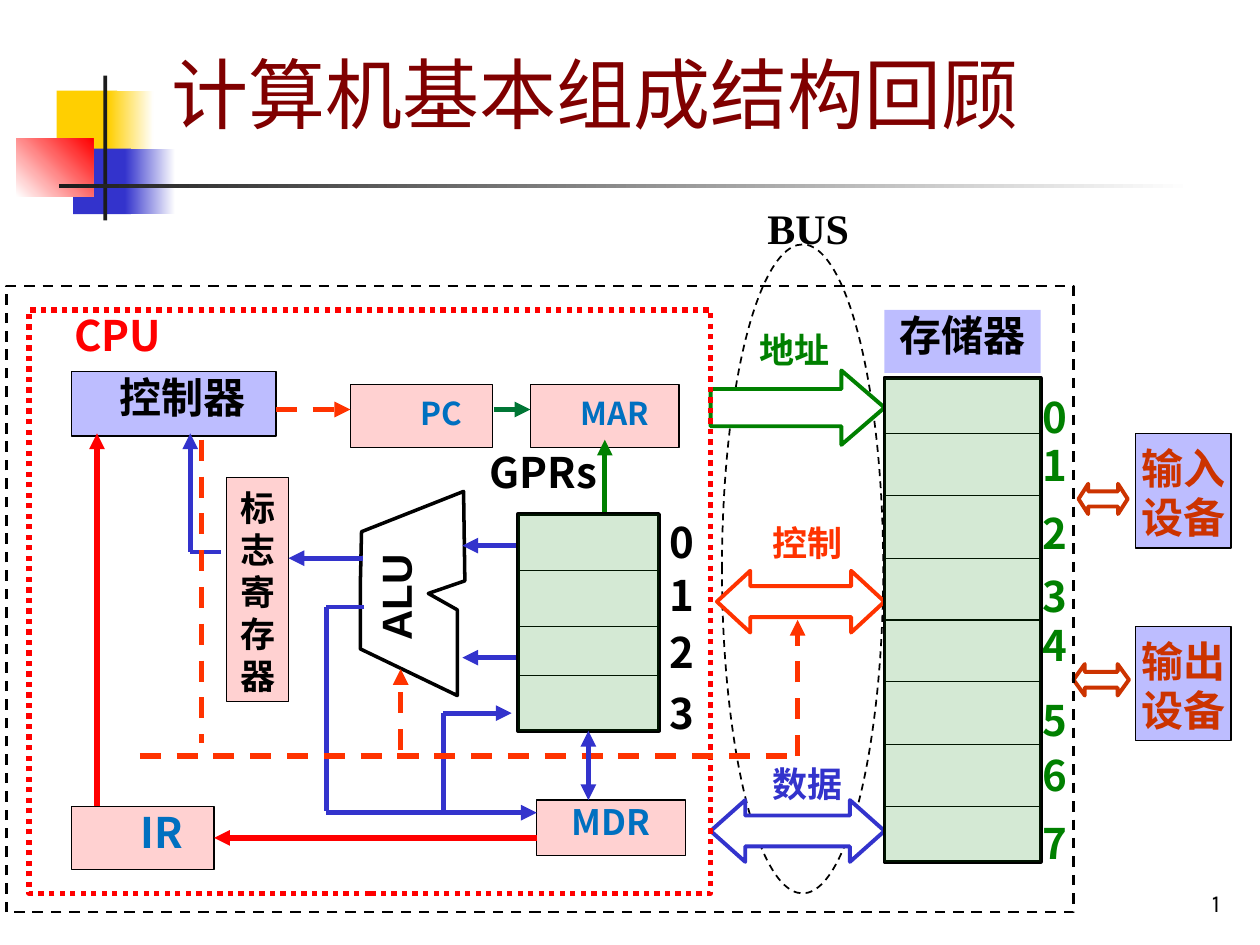
from dataclasses import dataclass
from lxml.etree import SubElement as Sub
from pptx import Presentation
from pptx.dml.color import RGBColor as RGB
from pptx.enum.dml import MSO_LINE as Dash
from pptx.enum.shapes import MSO_CONNECTOR as Link, MSO_SHAPE as Kind
from pptx.enum.text import MSO_ANCHOR as Anchor, PP_ALIGN as Align
from pptx.oxml.ns import qn
from pptx.util import Inches, Pt

COLS, ROWS = 1000, 750
CELL = Inches(10) // COLS
SANS = "Noto Sans CJK SC"

BLACK, WHITE = RGB(0, 0, 0), RGB(255, 255, 255)
RED, GREEN, BLUE = RGB(255, 0, 0), RGB(0, 128, 0), RGB(0, 0, 255)
NAVY, FLAME, RUST = RGB(0x33, 0x33, 0xCC), RGB(0xFF, 0x33, 0), RGB(0xCC, 0x33, 0)
AZURE, PINE = RGB(0, 0x70, 0xC0), RGB(0, 0x76, 0x35)
GOLD, INK, WINE = RGB(0xFF, 0xCF, 0x01), RGB(0x1C, 0x1C, 0x1C), RGB(0x80, 0, 0)


@dataclass
class Area:
    shapes: object
    x: int
    y: int
    w: int
    h: int

    def zone(self, x, y, w, h):
        return Area(self.shapes, self.x + x, self.y + y, w, h)

    def place(self, x, y):
        return (self.x + x) * CELL, (self.y + y) * CELL


def paint(line, color, width, dash=None):
    line.color.rgb = color
    line.width = Pt(width)
    if dash:
        line.dash_style = dash


def block(area, box, fill=None, line=None, kind=Kind.RECTANGLE, alpha=None):
    x, y, w, h = box
    shape = area.shapes.add_shape(kind, *area.place(x, y), w * CELL, h * CELL)
    shape.shadow.inherit = False
    if fill is None:
        shape.fill.background()
    else:
        shape.fill.solid()
        shape.fill.fore_color.rgb = fill
    if alpha:
        tone = shape._element.spPr.find(qn("a:solidFill"))[0]
        Sub(tone, qn("a:alpha"), val=str(alpha * 1000))
    if line:
        paint(shape.line, *line)
    else:
        shape.line.fill.background()
    return shape


def fade(area, box, start, end, angle=0):
    shape = block(area, box)
    shape.fill.gradient()
    shape.fill.gradient_angle = angle
    for stop, color in zip(shape.fill.gradient_stops, (start, end)):
        stop.color.rgb = color


def write(shape, text, size, color, font=SANS, bold=True, align=Align.CENTER,
          anchor=Anchor.TOP, pad=(0, 0, 0, 0), lead=None):
    frame = shape.text_frame
    frame.word_wrap = True
    frame.vertical_anchor = anchor
    (frame.margin_left, frame.margin_top,
     frame.margin_right, frame.margin_bottom) = [n * CELL for n in pad]
    frame.text = text
    for para in frame.paragraphs:
        para.alignment = align
        if lead:
            para.line_spacing = Pt(size * lead)
        for run in para.runs:
            run.font.size, run.font.bold = Pt(size), bold
            run.font.name, run.font.color.rgb = font, color
            Sub(run.font._rPr, qn("a:ea"), typeface=font)


def label(area, box, text, size, color, **style):
    x, y, w, h = box
    shape = area.shapes.add_textbox(*area.place(x, y), w * CELL, h * CELL)
    write(shape, text, size, color, **style)
    return shape


def wire(area, ends, color, width=3, dash=None, head=False, tail=False):
    x1, y1, x2, y2 = ends
    link = area.shapes.add_connector(
        Link.STRAIGHT, *area.place(x1, y1), *area.place(x2, y2))
    paint(link.line, color, width, dash)
    stroke = link.line._get_or_add_ln()
    for tag, drawn in (("a:headEnd", head), ("a:tailEnd", tail)):
        if drawn:
            Sub(stroke, qn(tag), type="triangle")
    Sub(link._element.spPr, qn("a:effectLst"))
    return link


def badge(area):
    block(area, (32, 12, 48, 52), GOLD)
    fade(area, (73, 12, 36, 52), GOLD, WHITE)
    block(area, (45, 58, 46, 52), NAVY)
    fade(area, (86, 58, 40, 52), NAVY, WHITE)
    fade(area, (0, 50, 61, 46), WHITE, RED, 45)
    block(area, (69, 0, 3, 115), INK)
    fade(area, (34, 86, 900, 3), INK, WHITE)


def bus(area):
    block(area, (9, 0, 128, area.h), WHITE, (BLACK, 1, Dash.DASH), Kind.OVAL)
    label(area, (45, -33, 98, 43), "BUS", 24, BLACK,
          font="Times New Roman", align=Align.LEFT)
    both = Kind.LEFT_RIGHT_ARROW
    lanes = [("地址", (20, 67, 94, 43), Kind.RIGHT_ARROW, (0, 100, 138, 59), 0.58, GREEN),
             ("控制", (30, 220, 94, 43), both, (5, 259, 133, 49), 0.54, FLAME),
             ("数据", (35, 411, 84, 43), both, (0, 441, 138, 49), 0.56, NAVY)]
    for text, spot, kind, box, tip, color in lanes:
        arrow = block(area, box, WHITE, (color, 2.25), kind)
        arrow.adjustments[1] = tip
        label(area, spot, text, 20, color)
    wire(area, (69, 406, 69, 298), FLAME, dash=Dash.DASH, tail=True)


def bank(area, rules, marks, left, color):
    box = (0, 0, area.w, area.h)
    frame = block(area, box, WHITE, (BLACK, 2.25))
    for y in rules:
        wire(area, (0, y, area.w, y), BLACK, 0.75)
    for i, y in enumerate(marks):
        label(area, (left, y, 34, 40), str(i), 24, color)
    block(area, box, GREEN, alpha=17)
    return frame


def alu(area):
    points = [(82, 0), (83, 71), (54, 81), (77, 94), (77, 162), (0, 125), (0, 75), (1, 32)]
    spots = [area.place(*p) for p in points]
    pen = area.shapes.build_freeform(*spots[0])
    pen.add_line_segments(spots[1:], close=True)
    shape = pen.convert_to_shape()
    shape.shadow.inherit = False
    shape.fill.background()
    paint(shape.line, BLACK, 2)
    text = label(area, (-17, 61, 89, 46), "ALU", 24, BLACK, font="Arial",
                 anchor=Anchor.MIDDLE)
    text.rotation = 270


def cpu(area):
    block(area, (0, 0, area.w, area.h), line=(RED, 3, Dash.ROUND_DOT))
    label(area, (24, 0, 93, 50), "CPU", 24, RED)
    units = [("控制器", (34, 49, 162, 51), BLUE, 26, 24, BLACK, (14, 0)),
             ("PC", (255, 59, 113, 50), RED, 18, 18, AZURE, (31, 8)),
             ("MAR", (398, 59, 118, 50), RED, 18, 18, AZURE, (16, 8)),
             ("MDR", (403, 389, 118, 44), RED, 18, 20, AZURE, (0, 0)),
             ("IR", (34, 394, 113, 50), RED, 18, 24, AZURE, (30, 0))]
    made = {}
    for text, box, fill, alpha, size, color, pad in units:
        made[text] = block(area, box, fill, (BLACK, 0.75), alpha=alpha)
        write(made[text], text, size, color, pad=(*pad, 0, 0))
    flags = block(area, (157, 133, 49, 178), RED, (BLACK, 0.75), alpha=18)
    write(flags, "\n".join("标志寄存器"), 20, BLACK, pad=(0, 7, 0, 0), lead=1.2)
    alu(area.zone(263, 144, 83, 162))

    for ends in [(152, 192, 128, 192), (266, 236, 236, 236)]:
        wire(area, ends, NAVY, 2.25)
    for ends in [(236, 236, 236, 398), (329, 398, 329, 320)]:
        wire(area, ends, NAVY)
    for ends in [(388, 187, 344, 187), (388, 276, 344, 276), (265, 197, 206, 197),
                 (128, 192, 128, 98), (236, 399, 403, 399), (329, 320, 383, 320)]:
        wire(area, ends, NAVY, tail=True)
    for ends, tail in [((196, 79, 255, 79), True), ((88, 354, 605, 354), False),
                       ((137, 103, 137, 344), False), ((295, 349, 295, 285), True)]:
        wire(area, ends, FLAME, dash=Dash.DASH, tail=tail)
    wire(area, (369, 79, 398, 79), PINE, tail=True)
    wire(area, (457, 162, 457, 103), GREEN, tail=True)
    wire(area, (54, 394, 54, 98), RED, tail=True)
    wire(area, (403, 419, 147, 419), RED, tail=True).end_connect(made["IR"], 3)

    file = area.zone(388, 162, 112, 172)
    label(file, (-44, -54, 128, 50), "GPRs", 24, BLACK)
    frame = bank(file, (45, 89, 128), (2, 44, 89, 138), 113, BLACK)
    pair = wire(area, (444, 334, 444, 389), NAVY, head=True, tail=True)
    pair.begin_connect(frame, 2)


def store(area):
    head = block(area, (0, -54, area.w, 50), BLUE, alpha=26)
    write(head, "存储器", 24, BLACK)
    rules = [round(44 + 49.33 * i) for i in range(7)]
    bank(area, rules, (11, 49, 103, 153, 192, 251, 295, 349), 118, GREEN)


def ports(area):
    rows = [("输入\n设备", 0, (4, 40, 39, 24), 0.32),
            ("输出\n设备", 153, (0, 183, 44, 25), 0.36)]
    for text, y, box, tip in rows:
        unit = block(area, (49, y, 76, 91), BLUE, (BLACK, 0.75), alpha=26)
        write(unit, text, 24, RUST, pad=(0, 8, 0, 0), lead=1.17)
        arrow = block(area, box, WHITE, (RUST, 2.25), Kind.LEFT_RIGHT_ARROW)
        arrow.adjustments[1] = tip


def main():
    deck = Presentation()
    deck.slide_width, deck.slide_height = COLS * CELL, ROWS * CELL
    slide = deck.slides.add_slide(deck.slide_layouts[6])
    page = Area(slide.shapes, 0, 0, COLS, ROWS)
    badge(page.zone(13, 60, 934, 115))
    label(page, (126, 23, 852, 92), "计算机基本组成结构回顾", 44, WINE, font="Karla",
          bold=False, align=Align.LEFT, anchor=Anchor.BOTTOM, pad=(10, 5, 10, 5))
    label(page, (770, 683, 208, 50), "1", 14, BLACK, font="Karla", bold=False,
          align=Align.RIGHT, anchor=Anchor.BOTTOM, pad=(10, 5, 10, 5))
    bus(page.zone(564, 194, 138, 515))
    cpu(page.zone(23, 246, 541, 463))
    store(page.zone(702, 300, 124, 384))
    ports(page.zone(852, 344, 125, 244))
    block(page, (5, 227, 847, 497), line=(BLACK, 1.5, Dash.DASH))
    deck.save("out.pptx")


if __name__ == "__main__":
    main()
